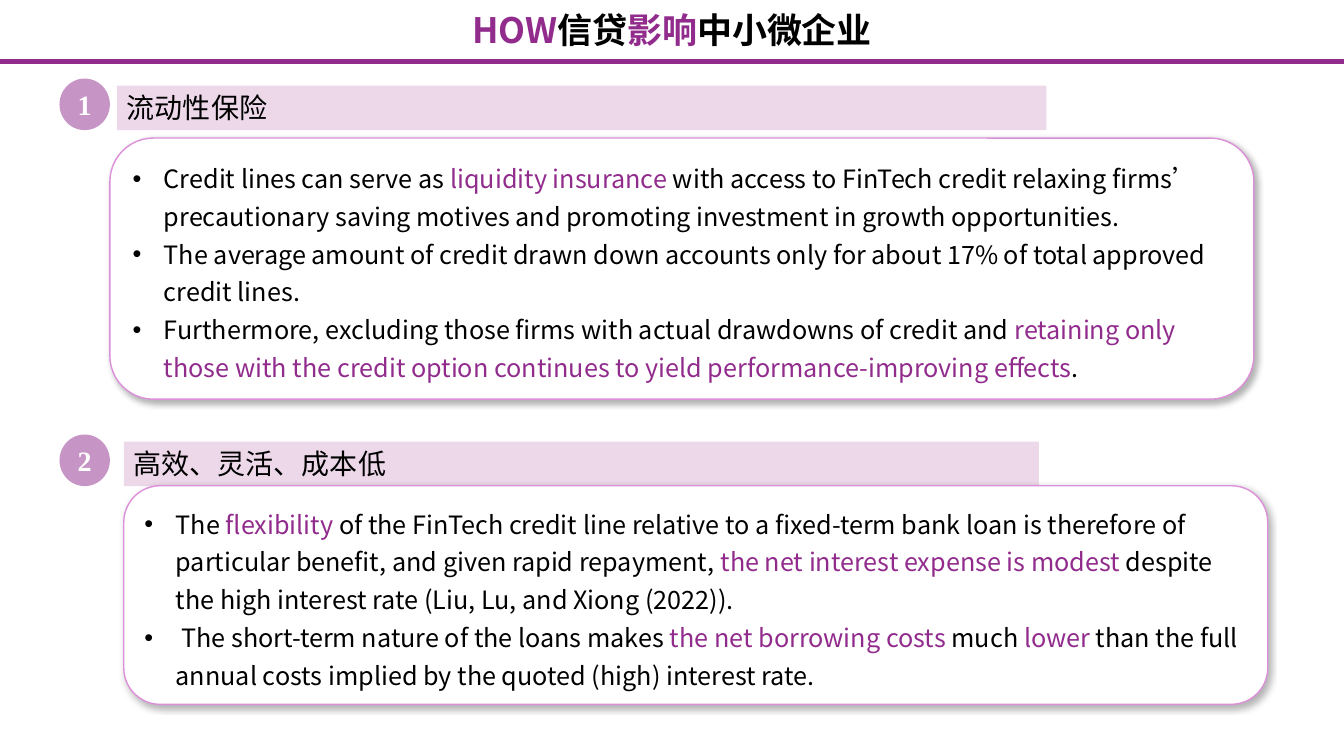
from dataclasses import dataclass

import pptx
import pptx.dml.color
import pptx.enum.shapes
import pptx.enum.text
import pptx.oxml
import pptx.oxml.ns
import pptx.util

Cm = pptx.util.Cm
Pt = pptx.util.Pt
RGBColor = pptx.dml.color.RGBColor
Shape = pptx.enum.shapes.MSO_SHAPE
Anchor = pptx.enum.text.MSO_ANCHOR
Align = pptx.enum.text.PP_ALIGN
qn = pptx.oxml.ns.qn
DRAWING = 'xmlns:a="http://schemas.openxmlformats.org/drawingml/2006/main"'


@dataclass(frozen=True)
class Theme:
    accent: RGBColor = RGBColor(0x91, 0x2C, 0x8D)
    bar: RGBColor = RGBColor(0xEC, 0xD8, 0xE9)
    outline: RGBColor = RGBColor(0xDD, 0x90, 0xDA)
    ink: RGBColor = RGBColor(0, 0, 0)
    paper: RGBColor = RGBColor(255, 255, 255)
    font: str = "Noto Sans CJK SC"
    badge_font: str = "Times New Roman"
    title_size: int = 25
    heading_size: int = 20
    body_size: int = 18


THEME = Theme()
PAGE_WIDTH = Cm(33.87)
PAGE_HEIGHT = Cm(19.05)

LIQUIDITY_POINTS = [
    "Credit lines can serve as *liquidity insurance *with access to FinTech credit relaxing firms’ "
    "precautionary saving motives and promoting investment in growth opportunities.",
    "The average amount of credit drawn down accounts only for about 17% of total approved credit lines.",
    "Furthermore, excluding those firms with actual drawdowns of credit and *retaining only those with "
    "the credit option continues to yield performance-improving effects*.",
]
COST_POINTS = [
    "The *flexibility* of the FinTech credit line relative to a fixed-term bank loan is therefore of "
    "particular benefit, and given rapid repayment, *the net interest expense is modest *despite the "
    "high interest rate (Liu, Lu, and Xiong (2022)).",
    " The short-term nature of the loans makes *the net borrowing costs *much *lower* than the full "
    "annual costs implied by the quoted (high) interest rate.",
]


def format_span(span, size, color, name=THEME.font, bold=False):
    span.font.size = Pt(size)
    span.font.name = name
    span.font.bold = bold
    span.font.color.rgb = color
    latin = span.font._element.find(qn("a:latin"))
    latin.addnext(pptx.oxml.parse_xml(f'<a:ea {DRAWING} typeface="{name}"/>'))


def write_marked(para, text, size, bold=False):
    """Fill a paragraph; the parts between asterisks take the accent colour."""
    for index, part in enumerate(text.split("*")):
        if part:
            span = para.add_run()
            span.text = part
            format_span(span, size, THEME.accent if index % 2 else THEME.ink, bold=bold)


def add_filled(page, kind, left, top, width, height, fill):
    box = page.shapes.add_shape(kind, left, top, width, height)
    box.shadow.inherit = False
    box.fill.solid()
    box.fill.fore_color.rgb = fill
    box.line.fill.background()
    return box


def add_title(page, text):
    title = page.shapes.title
    title.left, title.top, title.width, title.height = Cm(0), Cm(0.2), PAGE_WIDTH, Cm(1.22)
    frame = title.text_frame
    frame.auto_size = pptx.enum.text.MSO_AUTO_SIZE.NONE
    frame.vertical_anchor = Anchor.MIDDLE
    para = frame.paragraphs[0]
    para.alignment = Align.CENTER
    para.line_spacing = 0.9
    write_marked(para, text, THEME.title_size, bold=True)


def add_rule(page, top):
    rule = page.shapes.add_connector(pptx.enum.shapes.MSO_CONNECTOR.STRAIGHT, 0, top, PAGE_WIDTH, top)
    rule.line.color.rgb = THEME.accent
    rule.line.width = Pt(3)
    rule._element.spPr.append(pptx.oxml.parse_xml(f"<a:effectLst {DRAWING}/>"))


def add_heading(page, left, top, width, text):
    bar = add_filled(page, Shape.RECTANGLE, left, top, width, Cm(1.12), THEME.bar)
    bar.text_frame.vertical_anchor = Anchor.TOP
    para = bar.text_frame.paragraphs[0]
    para.alignment = Align.LEFT
    write_marked(para, text, THEME.heading_size)


def add_badge(page, top, number):
    badge = add_filled(page, Shape.FLOWCHART_CONNECTOR, Cm(1.5), top, Cm(1.27), Cm(1.3), THEME.accent)
    color = badge._element.spPr.find(qn("a:solidFill"))[0]
    color.append(pptx.oxml.parse_xml(f'<a:alpha {DRAWING} val="50000"/>'))
    frame = badge.text_frame
    frame.text = str(number)
    frame.vertical_anchor = Anchor.MIDDLE
    para = frame.paragraphs[0]
    para.alignment = Align.CENTER
    format_span(para.runs[0], THEME.heading_size, THEME.paper, THEME.badge_font, bold=True)


def cast_shadow(box):
    effects = box._element.spPr.find(qn("a:effectLst"))
    effects.append(pptx.oxml.parse_xml(
        f'<a:outerShdw {DRAWING} blurRad="{Pt(4.5)}" dist="{Pt(2.6)}" dir="{53 * 60000}" '
        'algn="tl" rotWithShape="0"><a:srgbClr val="000000"><a:alpha val="30000"/>'
        "</a:srgbClr></a:outerShdw>"))


def add_bullet(para):
    properties = para._p.get_or_add_pPr()
    properties.set("marL", str(Cm(0.79)))
    properties.set("indent", str(-Cm(0.79)))
    properties.append(pptx.oxml.parse_xml(f'<a:buFont {DRAWING} typeface="Arial"/>'))
    properties.append(pptx.oxml.parse_xml(f'<a:buChar {DRAWING} char="•"/>'))


def add_panel(page, left, top, height, points):
    panel = add_filled(page, Shape.ROUNDED_RECTANGLE, left, top, Cm(28.83), height, THEME.paper)
    panel.line.color.rgb = THEME.outline
    panel.line.width = Pt(1)
    cast_shadow(panel)
    frame = panel.text_frame
    frame.vertical_anchor = Anchor.TOP
    for index, point in enumerate(points):
        para = frame.add_paragraph() if index else frame.paragraphs[0]
        add_bullet(para)
        para.alignment = Align.LEFT
        para.line_spacing = 1.25
        write_marked(para, point, THEME.body_size)


def main():
    deck = pptx.Presentation()
    deck.slide_width, deck.slide_height = PAGE_WIDTH, PAGE_HEIGHT
    page = deck.slides.add_slide(deck.slide_layouts.get_by_name("Title Only"))
    add_title(page, "*HOW*信贷*影响*中小微企业")
    add_rule(page, Cm(1.55))
    add_heading(page, Cm(2.95), Cm(2.16), Cm(23.42), "流动性保险")
    add_heading(page, Cm(3.12), Cm(11.13), Cm(23.06), "高效、灵活、成本低")
    add_panel(page, Cm(2.77), Cm(3.48), Cm(6.58), LIQUIDITY_POINTS)
    add_panel(page, Cm(3.12), Cm(12.24), Cm(5.51), COST_POINTS)
    for number, top in enumerate((Cm(1.98), Cm(10.95)), start=1):
        add_badge(page, top, number)
    deck.save("out.pptx")


if __name__ == "__main__":
    main()
